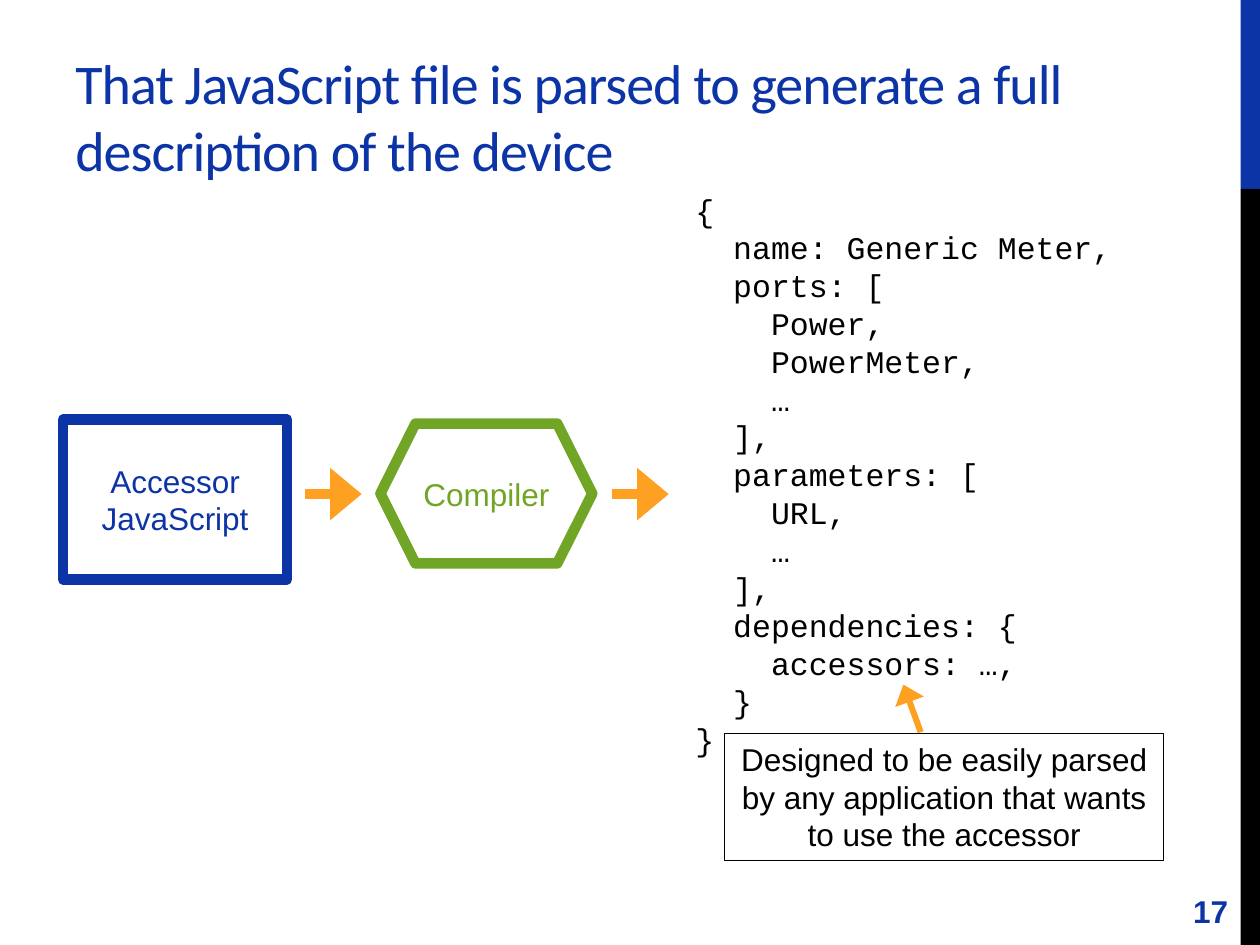
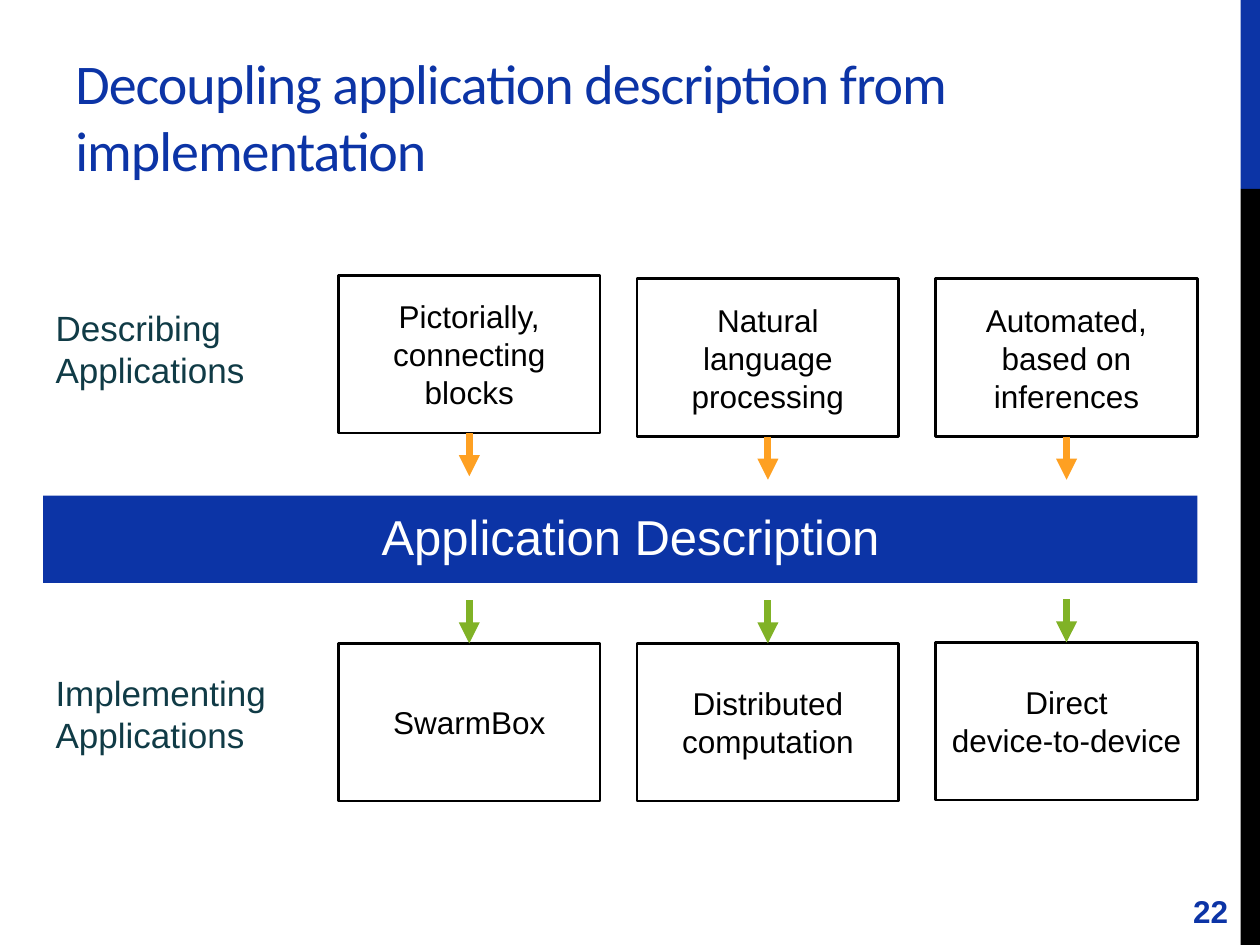
from pptx import Presentation
from pptx.dml.color import RGBColor
from pptx.enum.shapes import MSO_CONNECTOR as CONN, MSO_SHAPE as SHAPE
from pptx.enum.text import MSO_ANCHOR as ANCHOR, PP_ALIGN as ALIGN
from pptx.oxml.ns import qn
from pptx.util import Cm, Pt
from lxml.etree import SubElement

BLUE, BLACK, WHITE = "0C34A6", "000000", "FFFFFF"
ORANGE, GREEN, HEX_GREEN, TEAL = "FEA022", "80B226", "70A525", "103B46"
SLIDE_W, SLIDE_H = 25.4, 19.05

DESCRIPTION = """{
  name: Generic Meter,
  ports: [
    Power,
    PowerMeter,
    …
  ],
  parameters: [
    URL,
    …
  ],
  dependencies: {
    accessors: …,
  }
}"""


def rgb(value):
    return RGBColor.from_string(value)


def write(tf, text, size=18, color=BLACK, font="Arial", bold=False,
          align=ALIGN.LEFT, anchor=ANCHOR.TOP, spacing=None):
    tf.word_wrap = True
    tf.vertical_anchor = anchor
    for i, line in enumerate(text.split("\n")):
        p = tf.add_paragraph() if i else tf.paragraphs[0]
        p.alignment = align
        r = p.add_run()
        r.text = line
        r.font.size, r.font.name, r.font.bold = Pt(size), font, bold
        r.font.color.rgb = rgb(color)
        if spacing is not None:
            r.font._element.set("spc", str(round(spacing * 100)))


def add_text(s, box, text, **fmt):
    sp = s.shapes.add_textbox(*map(Cm, box))
    write(sp.text_frame, text, **fmt)


def add_box(s, box, text="", kind=SHAPE.RECTANGLE, fill=None, opacity=100,
            line=None, width=1.5, **fmt):
    sp = s.shapes.add_shape(kind, *map(Cm, box))
    sp.shadow.inherit = False
    if fill:
        sp.fill.solid()
        sp.fill.fore_color.rgb = rgb(fill)
        if opacity < 100:
            clr = sp.fill._xPr.find(qn("a:solidFill"))[0]
            SubElement(clr, qn("a:alpha")).set("val", str(opacity * 1000))
    else:
        sp.fill.background()
    if line:
        sp.line.color.rgb = rgb(line)
        sp.line.width = Pt(width)
    else:
        sp.line.fill.background()
    if text:
        write(sp.text_frame, text, **{"align": ALIGN.CENTER, "anchor": ANCHOR.MIDDLE, **fmt})
    return sp


def add_arrow(s, start, end, color, width, head="med"):
    c = s.shapes.add_connector(CONN.STRAIGHT, *map(Cm, (*start, *end)))
    c.line.color.rgb = rgb(color)
    c.line.width = Pt(width)
    tail = SubElement(c.line._get_or_add_ln(), qn("a:tailEnd"))
    tail.set("type", "triangle")
    tail.set("w", head)
    SubElement(c._element.spPr, qn("a:effectLst"))


def add_base(prs, title, number):
    s = prs.slides.add_slide(prs.slide_layouts[6])
    band_x, split = 25.01, 3.81
    add_box(s, (band_x, 0, SLIDE_W - band_x, split), fill=BLUE)
    add_box(s, (band_x, split, SLIDE_W - band_x, SLIDE_H - split), fill=BLACK)
    add_text(s, (1.27, 0.43, 21.16, 3.81), title, size=32, color=BLUE,
             font="Calibri", anchor=ANCHOR.MIDDLE, spacing=-0.6)
    add_text(s, (21.56, 17.86, 3.45, 1.02), str(number), color=BLUE, bold=True,
             align=ALIGN.RIGHT)
    return s


def add_pipeline(s, box):
    x, y, w, h = box
    add_box(s, (x, y, 4.52, h), "Accessor\nJavaScript", line=BLUE, width=6, color=BLUE)
    add_box(s, (x + 6.4, y + 0.08, 4.27, 2.82), "Compiler", kind=SHAPE.HEXAGON,
            line=HEX_GREEN, width=6, color=HEX_GREEN)
    arrow_w, arrow_y = 1.14, y + 1.5
    for left in (x + 4.88, x + w - arrow_w):
        add_arrow(s, (left, arrow_y), (left + arrow_w, arrow_y), ORANGE, 6, head="lg")


def add_description(s, box):
    x, y, w, h = box
    add_text(s, box, DESCRIPTION, font="Courier New")
    note_x, note_y = x + 0.84, y + h - 0.72
    add_box(s, (note_x, note_y, 8.85, 2.56),
            "Designed to be easily parsed by any application that wants to use the accessor",
            fill=WHITE, opacity=39, line=BLACK, width=0.75, anchor=ANCHOR.TOP)
    add_arrow(s, (note_x + 3.95, note_y - 0.03), (note_x + 3.6, note_y - 0.99),
              ORANGE, 3.5, head="lg")


def add_band(s, box, text):
    sp = add_box(s, box, text, fill=BLUE, size=28, color=WHITE)
    sp.text_frame.margin_left = Cm(0.66)
    sp.text_frame.margin_bottom = Cm(0.25)


def add_row(s, box, label, choices, arrow_color, arrow_below):
    x, y, w, h = box
    cell_w, arrow_h = 5.28, 0.87
    first = x + 5.95
    step = (x + w - cell_w - first) / (len(choices) - 1)
    add_text(s, (x, y + 0.44, 5.54, 1.96), label, size=20, color=TEAL)
    for i, (text, shift) in enumerate(choices):
        left, top = first + i * step, y + shift
        add_box(s, (left, top, cell_w, h), text, line=BLACK)
        center = left + cell_w / 2
        start = top + h if arrow_below else top - arrow_h
        add_arrow(s, (center, start), (center, start + arrow_h), arrow_color, 4)


def main():
    prs = Presentation()
    prs.slide_width, prs.slide_height = Cm(SLIDE_W), Cm(SLIDE_H)

    s = add_base(prs, "That JavaScript file is parsed to generate a full "
                 "description of the device", 17)
    add_pipeline(s, (1.27, 8.46, 12.21, 3.22))
    add_description(s, (13.77, 3.72, 9.42, 11.79))

    s = add_base(prs, "Decoupling application description from implementation", 22)
    left, width, cell_h = 0.87, 23.27, 3.18
    add_band(s, (left, 9.99, width, 1.76), "Application Description")
    add_row(s, (left, 5.62, width, cell_h), "Describing\nApplications",
            [("Pictorially,\nconnecting blocks", -0.07),
             ("Natural language processing", 0),
             ("Automated, based on inferences", 0)], ORANGE, True)
    add_row(s, (left, 12.97, width, cell_h), "Implementing\nApplications",
            [("SwarmBox", 0), ("Distributed computation", 0),
             ("Direct\ndevice-to-device", -0.02)], GREEN, False)

    prs.save("out.pptx")


if __name__ == "__main__":
    main()
